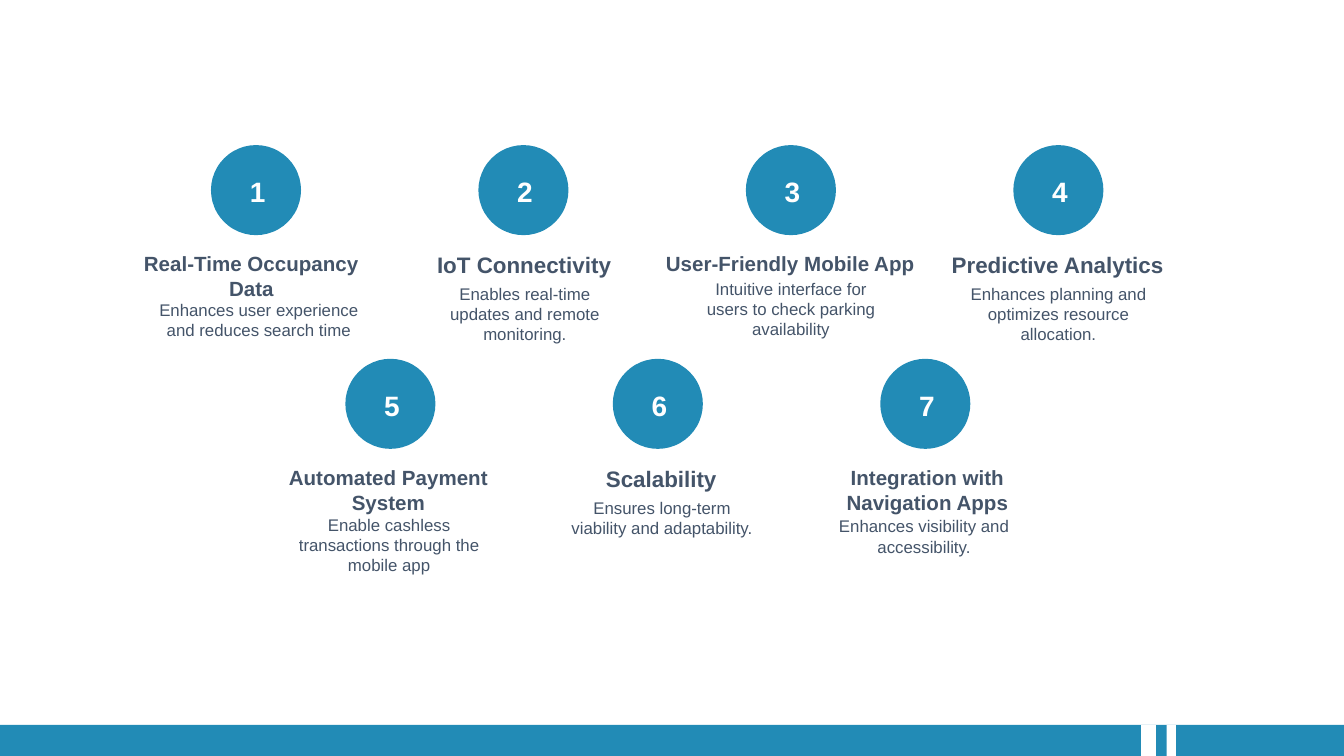
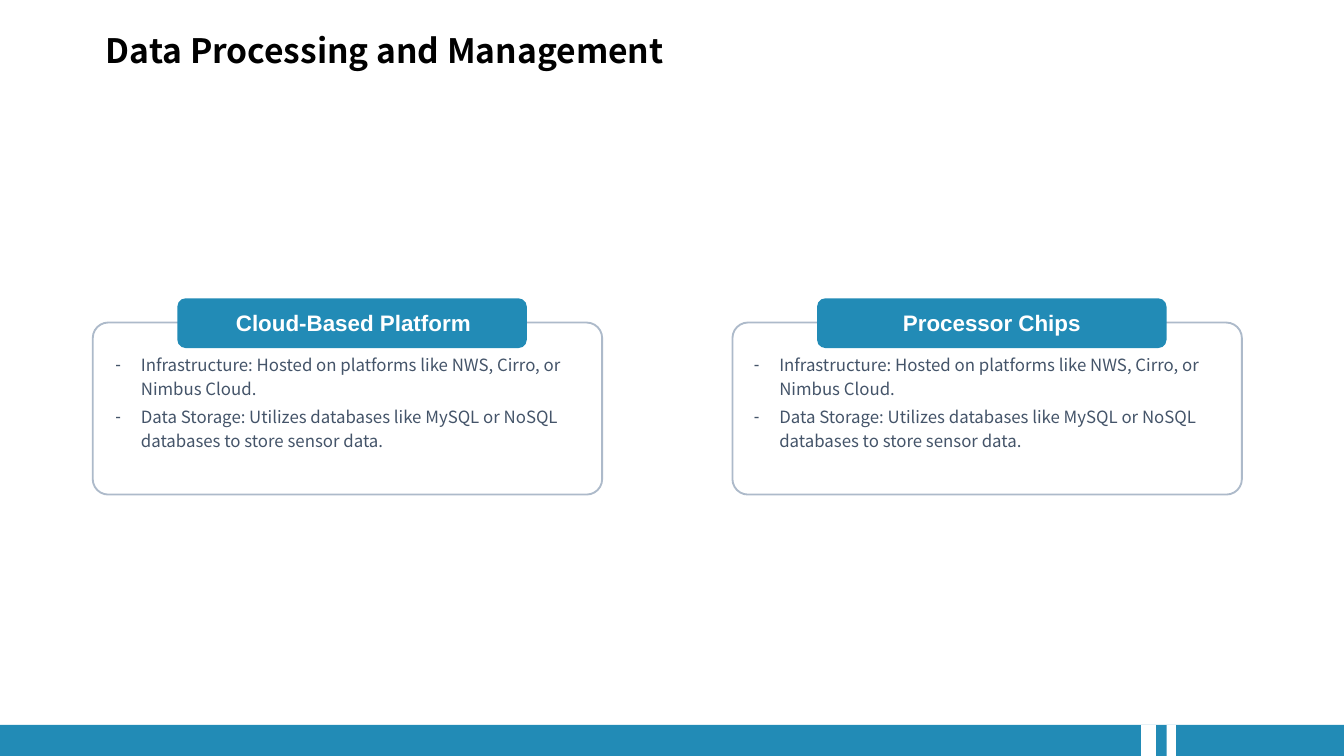
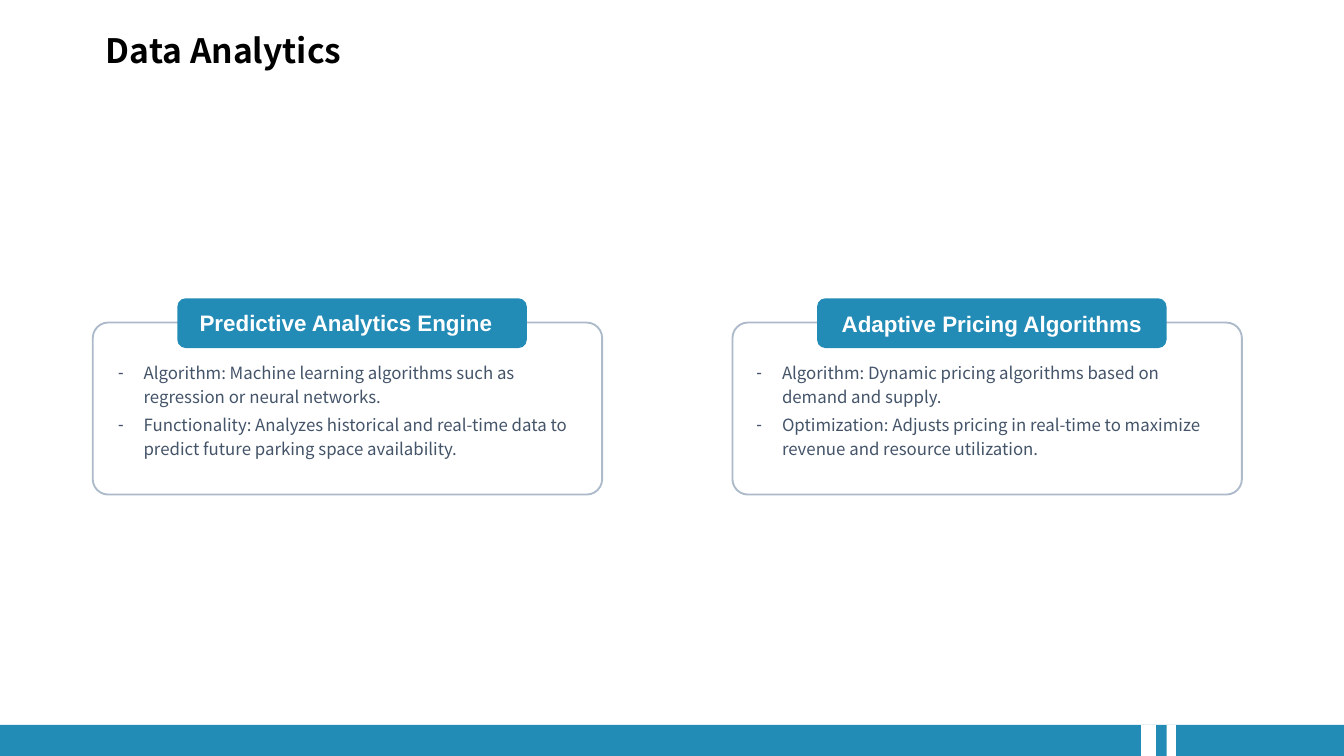
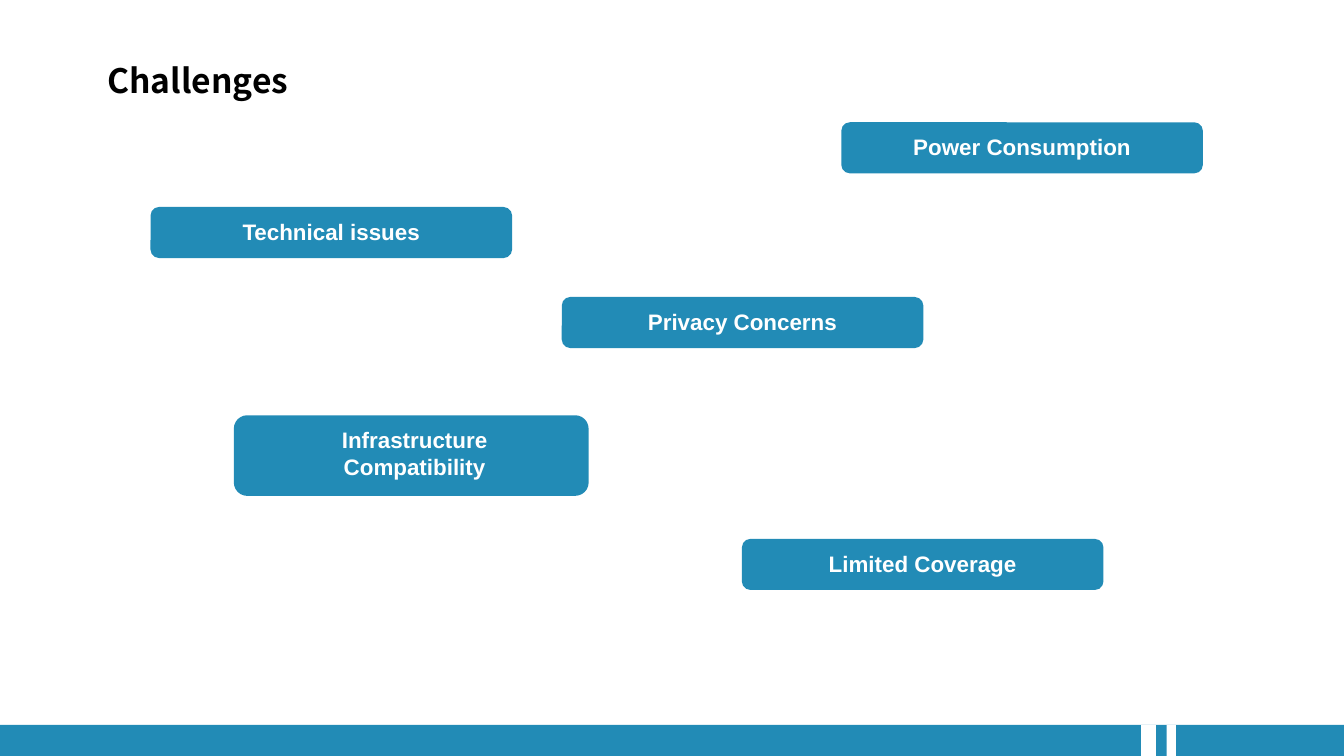
from lxml.etree import SubElement
from pptx import Presentation
from pptx.dml.color import RGBColor
from pptx.enum.shapes import MSO_SHAPE as Shape
from pptx.enum.text import MSO_ANCHOR as Anchor, MSO_AUTO_SIZE as AutoSize, PP_ALIGN as Align
from pptx.oxml.ns import qn
from pptx.util import Inches, Pt

BLUE = RGBColor(0x22, 0x8B, 0xB6)
WHITE = RGBColor(0xFF, 0xFF, 0xFF)
BLACK = RGBColor(0x00, 0x00, 0x00)
SLATE = RGBColor(0x44, 0x54, 0x69)
BORDER = RGBColor(0xAD, 0xBA, 0xCA)
SANS = "Arial"
NOTO = "Noto Sans CJK SC"

TITLE = {"name": NOTO, "size": Pt(18), "bold": True, "color": BLACK}
NUMBER = {"name": SANS, "size": Pt(15), "bold": True, "color": WHITE}
LABEL = {"name": SANS, "size": Pt(12), "bold": True, "color": WHITE}
BULLET = {"name": NOTO, "size": Pt(9), "color": SLATE}
DESCRIPTION = {"name": SANS, "size": Pt(9), "color": SLATE}


def add_box(slide, kind, at, fill=None, line=None):
    shape = slide.shapes.add_shape(kind, *map(Inches, at))
    shape.shadow.inherit = False
    if fill is None:
        shape.fill.background()
    else:
        shape.fill.solid()
        shape.fill.fore_color.rgb = fill
    if line is None:
        shape.line.fill.background()
    else:
        shape.line.color.rgb = line
        shape.line.width = Pt(1)
    return shape


def add_text(slide, at, lines, style, align=Align.LEFT, inset=True, fill=None, bullets=False):
    """Add a text box with one paragraph per line, dashed when bullets is set."""
    box = slide.shapes.add_textbox(*map(Inches, at))
    frame = box.text_frame
    frame.word_wrap = True
    frame.auto_size = AutoSize.SHAPE_TO_FIT_TEXT
    if fill is not None:
        box.fill.solid()
        box.fill.fore_color.rgb = fill
        frame.vertical_anchor = Anchor.MIDDLE
    if not inset:
        for side in ("left", "top", "right", "bottom"):
            setattr(frame, f"margin_{side}", 0)
    for index, line in enumerate(lines):
        paragraph = frame.add_paragraph() if index else frame.paragraphs[0]
        paragraph.alignment = align
        if bullets:
            paragraph.line_spacing = 1.2
            paragraph.space_before = Pt(1.8 if index else 0)
            properties = paragraph._p.get_or_add_pPr()
            properties.set("marL", str(Inches(0.19)))
            properties.set("indent", str(-Inches(0.19)))
            SubElement(properties, qn("a:buFont"), typeface=SANS)
            SubElement(properties, qn("a:buChar"), char="-")
        run = paragraph.add_run()
        run.text = line
        for name, value in style.items():
            if name == "color":
                run.font.color.rgb = value
            else:
                setattr(run.font, name, value)


presentation = Presentation()
presentation.slide_width = Inches(10)
presentation.slide_height = presentation.slide_width * 9 // 16
blank = presentation.slide_layouts[6]
slides = [presentation.slides.add_slide(blank) for _ in range(4)]
features_slide, processing_slide, analytics_slide, challenges_slide = slides

# Footer band with two white gaps
footer_top = presentation.slide_height.inches - 0.23
for slide in slides:
    for left, width, color in [(0, 10, BLUE), (8.49, 0.11, WHITE), (8.68, 0.07, WHITE)]:
        add_box(slide, Shape.RECTANGLE, (left, footer_top, width, 0.23), color)

# Titles
for slide, left, top, width, title in [
    (processing_slide, 0.69, 0.17, 4.75, "Data Processing and Management"),
    (analytics_slide, 0.69, 0.17, 4.75, "Data Analytics"),
    (challenges_slide, 0.7, 0.4, 2.17, "Challenges"),
]:
    add_text(slide, (left, top, width, 0.4), [title], TITLE)

# Features: four numbered circles above three
# heading, size, left, height; description, left, drop below circle top, width, height
features = [
    ("Real-Time Occupancy Data", 11, 0.91, 0.61,
     "Enhances user experience and reduces search time", 1.08, 1.15, 1.69, 0.3),
    ("IoT Connectivity", 12, 2.94, 0.44,
     "Enables real-time updates and remote monitoring.", 3.22, 1.03, 1.37, 0.45),
    ("User-Friendly Mobile App", 11, 4.92, 0.19,
     "Intuitive interface for users to check parking availability", 5.2, 0.99, 1.37, 0.45),
    ("Predictive Analytics", 12, 6.91, 0.2,
     "Enhances planning and optimizes resource allocation.", 7.19, 1.03, 1.37, 0.45),
    ("Automated Payment System", 11, 1.93, 0.61,
     "Enable cashless transactions through the mobile app", 2.21, 1.16, 1.37, 0.45),
    ("Scalability", 12, 3.96, 0.44,
     "Ensures long-term viability and adaptability.", 4.24, 1.03, 1.37, 0.3),
    ("Integration with Navigation Apps", 11, 5.94, 0.37,
     "Enhances visibility and accessibility.", 6.19, 1.17, 1.37, 0.3),
]
for index, feature in enumerate(features):
    (heading, size, heading_left, heading_height,
     description, description_left, drop, width, height) = feature
    row, column = divmod(index, 4)
    left = 1.57 + row + column * 1.99
    top = 1.08 + row * 1.59
    add_box(features_slide, Shape.OVAL, (left, top, 0.67, 0.67), BLUE)
    add_text(features_slide, (left + 0.19, top + 0.17, 0.28, 0.35), [str(index + 1)], NUMBER)
    add_text(features_slide, (heading_left, top + 0.79, 1.92, heading_height), [heading],
             {**LABEL, "size": Pt(size), "color": SLATE}, Align.CENTER, inset=False)
    add_text(features_slide, (description_left, top + drop, width, height), [description],
             DESCRIPTION, Align.CENTER, inset=False)

# Outlined cards with a heading pill, two on a slide
platform_points = [
    "Infrastructure: Hosted on platforms like NWS, Cirro, or Nimbus Cloud.",
    "Data Storage: Utilizes databases like MySQL or NoSQL databases to store sensor data.",
]
engine_points = [
    "Algorithm: Machine learning algorithms such as regression or neural networks.",
    "Functionality: Analyzes historical and real-time data to predict future parking space "
    "availability.",
]
pricing_points = [
    "Algorithm: Dynamic pricing algorithms based on demand and supply.",
    "Optimization: Adjusts pricing in real-time to maximize revenue and resource utilization.",
]
LEFT_CARD, RIGHT_CARD = 0.69, 5.45
for slide, left, heading, label_at, points, points_left, points_top, points_height in [
    (processing_slide, LEFT_CARD, "Cloud-Based Platform", (1.52, 2.25, 2.22, 0.3),
     platform_points, 0.76, 2.56, 0.86),
    (processing_slide, RIGHT_CARD, "Processor Chips", (6.27, 2.25, 2.22, 0.3),
     platform_points, 5.51, 2.56, 0.86),
    (analytics_slide, LEFT_CARD, "Predictive Analytics Engine", (1.37, 2.25, 2.41, 0.3),
     engine_points, 0.78, 2.62, 0.84),
    (analytics_slide, RIGHT_CARD, "Adaptive Pricing Algorithms", (6.15, 2.26, 2.46, 0.3),
     pricing_points, 5.53, 2.62, 0.84),
]:
    card = add_box(slide, Shape.ROUNDED_RECTANGLE, (left, 2.4, 3.79, 1.28), line=BORDER)
    card.adjustments[0] = 0.09
    add_box(slide, Shape.ROUNDED_RECTANGLE, (left + 0.63, 2.22, 2.6, 0.37), BLUE)
    add_text(slide, label_at, [heading], LABEL, Align.CENTER, fill=BLUE)
    add_text(slide, (points_left, points_top, 3.62, points_height), points, BULLET, bullets=True)

# Challenges
for challenge, left, top, width, height, label_height in [
    ("Privacy Concerns", 4.18, 2.21, 2.69, 0.38, 0.3),
    ("Technical issues", 1.12, 1.54, 2.69, 0.38, 0.3),
    ("Infrastructure Compatibility", 1.74, 3.09, 2.64, 0.6, 0.5),
    ("Power Consumption", 6.26, 0.91, 2.69, 0.38, 0.3),
    ("Limited Coverage", 5.52, 4.01, 2.69, 0.38, 0.3),
]:
    add_box(challenges_slide, Shape.ROUNDED_RECTANGLE, (left, top, width, height), BLUE)
    add_text(challenges_slide, (left + 0.2, top + 0.03, 2.29, label_height), [challenge],
             LABEL, Align.CENTER, fill=BLUE)

presentation.save("out.pptx")
